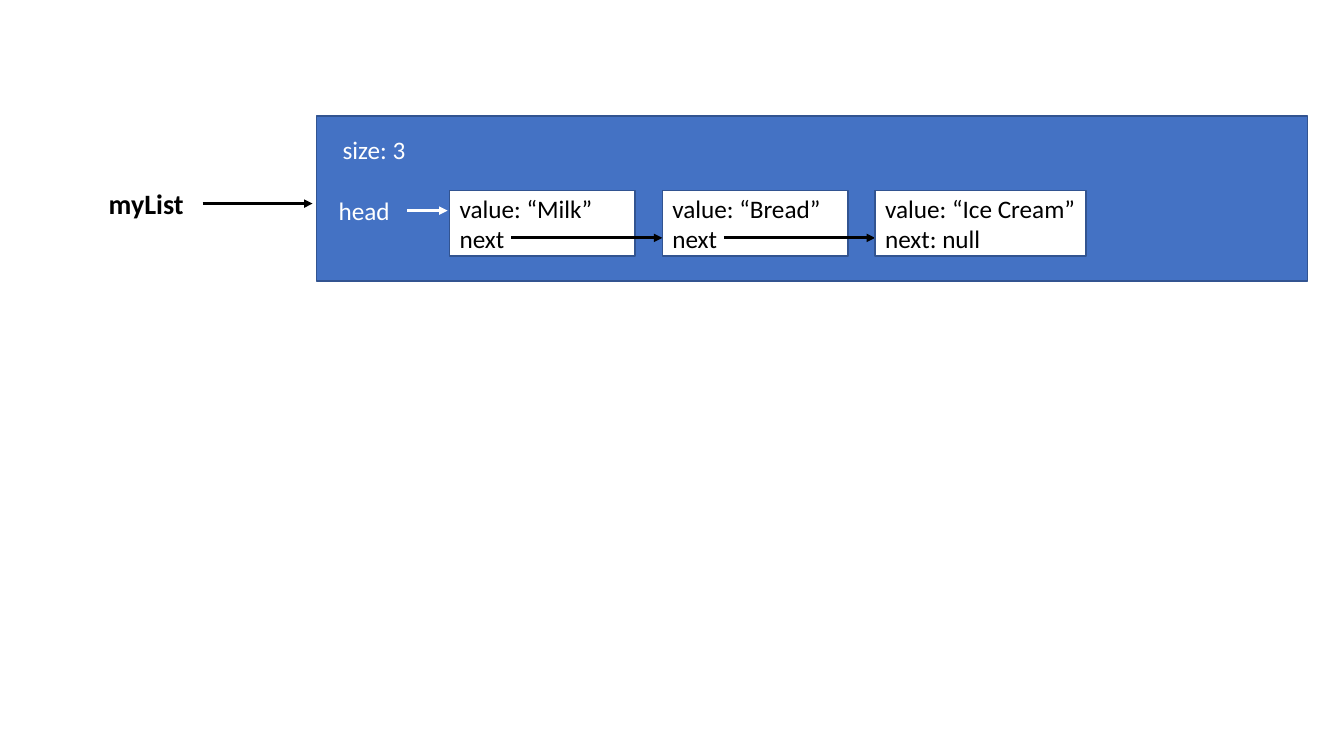
from dataclasses import dataclass

from lxml import etree
from pptx import Presentation
from pptx.dml.color import RGBColor
from pptx.enum.shapes import MSO_CONNECTOR, MSO_SHAPE
from pptx.enum.text import MSO_ANCHOR, MSO_AUTO_SIZE, PP_ALIGN
from pptx.oxml.ns import qn
from pptx.util import Inches, Pt

RECT = MSO_SHAPE.RECTANGLE
STRAIGHT = MSO_CONNECTOR.STRAIGHT
LEFT = PP_ALIGN.LEFT
MIDDLE = MSO_ANCHOR.MIDDLE
TOP = MSO_ANCHOR.TOP
GROW = MSO_AUTO_SIZE.SHAPE_TO_FIT_TEXT
BLANK = 6


@dataclass(frozen=True)
class Theme:
    font: str = "Calibri"
    black: RGBColor = RGBColor(0x00, 0x00, 0x00)
    white: RGBColor = RGBColor(0xFF, 0xFF, 0xFF)
    blue: RGBColor = RGBColor(0x44, 0x72, 0xC4)
    edge: RGBColor = RGBColor(0x32, 0x54, 0x91)
    body: Pt = Pt(18)
    name: Pt = Pt(20)
    thin: Pt = Pt(1)
    thick: Pt = Pt(2)


THEME = Theme()
NODES = [
    ("value: “Milk”", "next", 1.84),
    ("value: “Bread”", "next", 1.84),
    ("value: “Ice Cream”", "next: null", 2.09),
]


def apply(target, values):
    for key, value in values.items():
        setattr(target, key, value)


def write(frame, lines, color, size=THEME.body, bold=False):
    frame.text = "\n".join(lines)
    for para in frame.paragraphs:
        para.alignment = LEFT
        for run in para.runs:
            apply(run.font, {"name": THEME.font, "size": size, "bold": bold})
            run.font.color.rgb = color


def add_label(slide, text, place, color, **style):
    box = slide.shapes.add_textbox(*map(Inches, place))
    frame = box.text_frame
    write(frame, [text], color, **style)
    apply(frame, {"word_wrap": False, "auto_size": GROW, "vertical_anchor": TOP})


def add_box(slide, place, fill):
    box = slide.shapes.add_shape(RECT, *map(Inches, place))
    box.shadow.inherit = False
    box.fill.solid()
    box.fill.fore_color.rgb = fill
    box.line.color.rgb = THEME.edge
    box.line.width = THEME.thin
    return box


def add_arrow(slide, start, end, y, color):
    arrow = slide.shapes.add_connector(
        STRAIGHT, Inches(start), Inches(y), Inches(end), Inches(y)
    )
    arrow.line.color.rgb = color
    arrow.line.width = THEME.thick
    tip = etree.SubElement(arrow.line._get_or_add_ln(), qn("a:tailEnd"))
    tip.set("type", "triangle")
    etree.SubElement(arrow._element.spPr, qn("a:effectLst"))


def add_node(slide, left, width, lines):
    box = add_box(slide, (left, 1.89, width, 0.65), THEME.white)
    write(box.text_frame, lines, THEME.black)
    apply(box.text_frame, {"word_wrap": True, "vertical_anchor": MIDDLE})


def add_chain(slide):
    first, step = 4.46, 2.11
    for index, (value, link, width) in enumerate(NODES):
        left = first + index * step
        add_node(slide, left, width, [value, link])
        if index < len(NODES) - 1:
            add_arrow(slide, left + 0.61, left + step, 2.36, THEME.black)


def main():
    deck = Presentation()
    apply(deck, {"slide_width": Inches(13.33), "slide_height": Inches(7.5)})
    slide = deck.slides.add_slide(deck.slide_layouts[BLANK])
    add_label(
        slide, "myList", (0.98, 1.8, 1.03, 0.44), THEME.black,
        size=THEME.name, bold=True,
    )
    add_box(slide, (3.14, 1.15, 9.83, 1.64), THEME.blue)
    add_label(slide, "size: 3", (3.3, 1.28, 0.83, 0.4), THEME.white)
    add_label(slide, "head", (3.26, 1.89, 0.78, 0.4), THEME.white)
    add_arrow(slide, 4.04, 4.44, 2.09, THEME.white)
    add_arrow(slide, 2.01, 3.1, 2.02, THEME.black)
    add_chain(slide)
    deck.save("out.pptx")


main()
